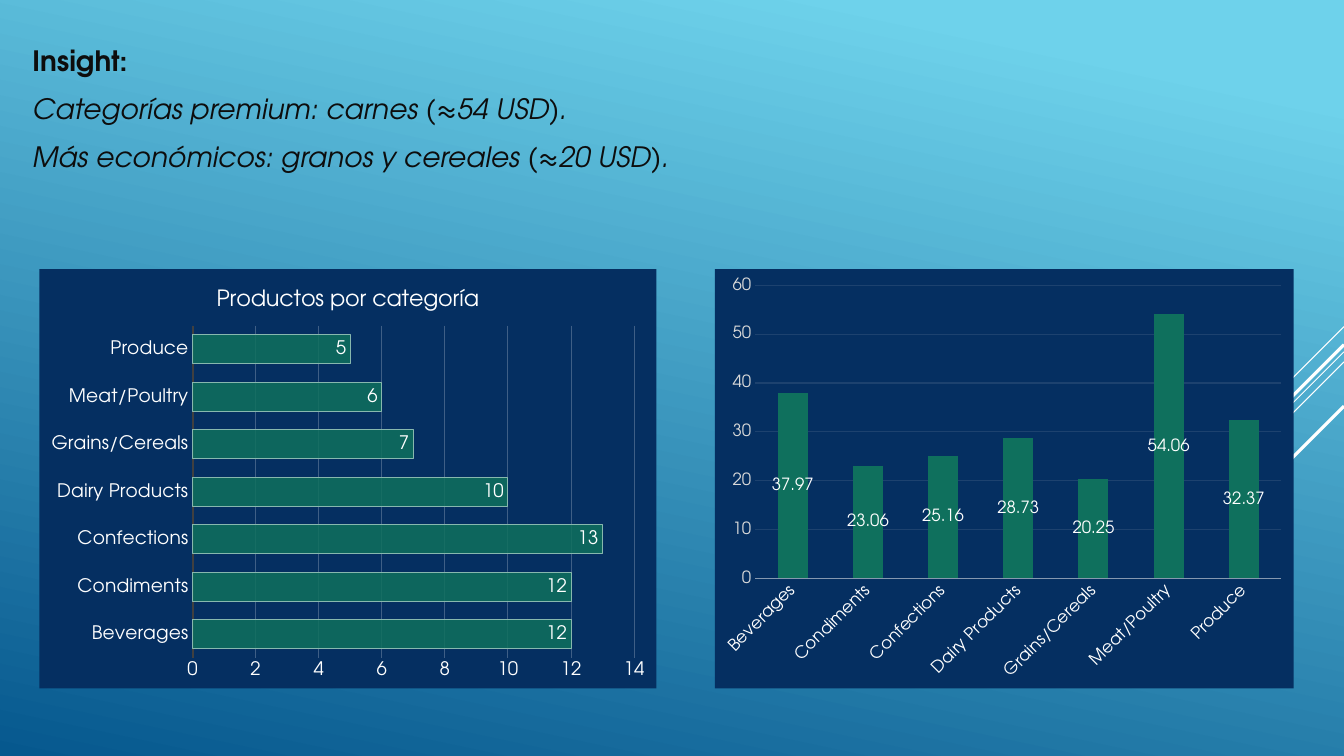
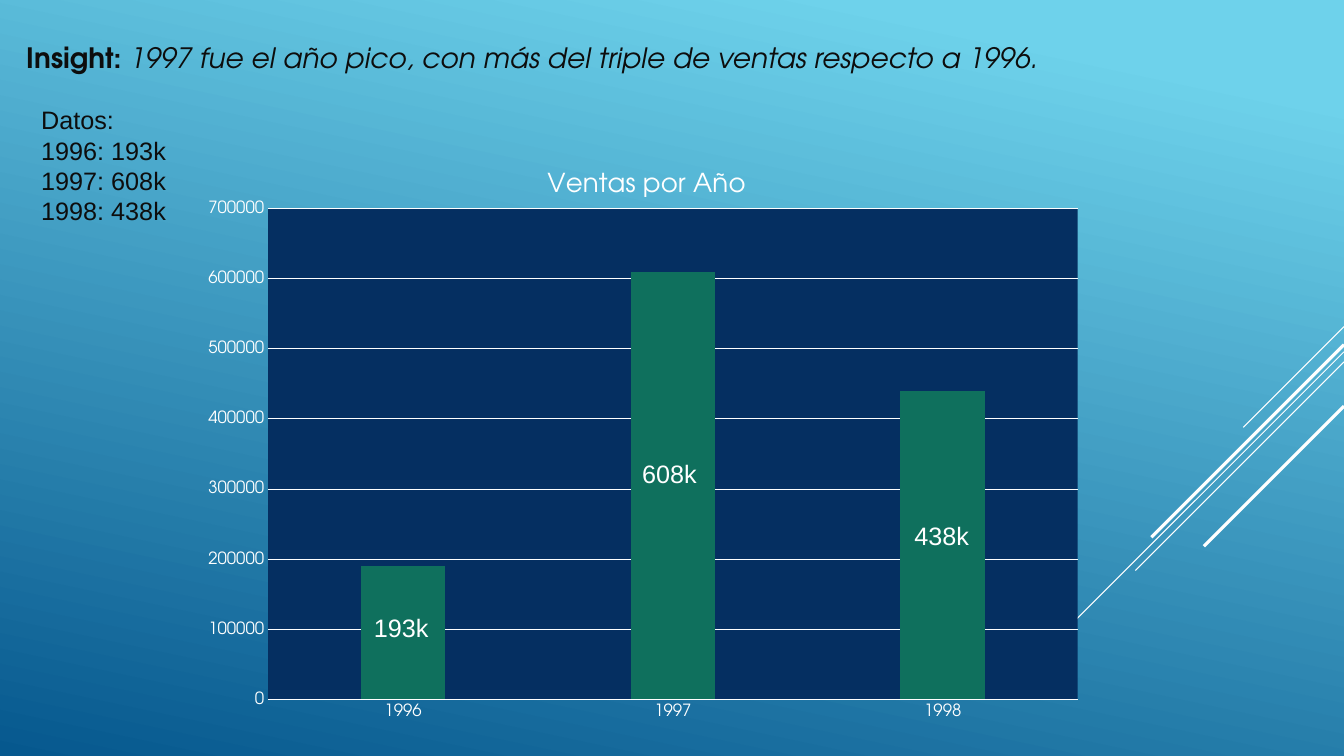
import pptx
import pptx.chart.data
import pptx.dml.color
import pptx.enum.chart
import pptx.enum.shapes
import pptx.enum.text
import pptx.oxml
import pptx.oxml.ns
import pptx.util
import lxml.etree

Inches = pptx.util.Inches
qn = pptx.oxml.ns.qn
ChartType = pptx.enum.chart.XL_CHART_TYPE
LabelPosition = pptx.enum.chart.XL_LABEL_POSITION
Anchor = pptx.enum.text.MSO_ANCHOR
Align = pptx.enum.text.PP_ALIGN

HEADING_FONT = "TeX Gyre Adventor"
DATA_FONT = "Arial"
INK, WHITE, NAVY, GREEN = "0D0D0D", "FFFFFF", "052F61", "0F705D"
BACKGROUND_STOPS = [(0.1, "6ED2EB"), (1, "06588E")]
BACKGROUND_ANGLE = 258
SLIDE_WIDTH, SLIDE_HEIGHT = 13.33, 7.5
DIAGONALS = [(3.24, 1.0, 0.75), (3.49, 3.26, 0.75), (3.59, 2.07, 0.75),
             (3.42, 1.91, 2.25), (4.03, 1.39, 2.25)]

BOLD, ITALIC = {"bold": True}, {"italic": True}
CATEGORIES = ["Beverages", "Condiments", "Confections", "Dairy Products",
              "Grains/Cereals", "Meat/Poultry", "Produce"]

SLIDES = [
    {
        "title": {
            "box": (0.22, 0.21, 7.23, 1.73),
            "paragraphs": [
                [("Insight:", BOLD)],
                [("Categorías premium: carnes (≈54 USD).", ITALIC)],
                [("Más económicos: granos y cereales (≈20 USD).", ITALIC)],
            ],
            "spacing": {"space_before": pptx.util.Pt(4), "space_after": pptx.util.Pt(6)},
        },
        "charts": [
            {
                "type": ChartType.BAR_CLUSTERED, "box": (0.39, 2.67, 6.12, 4.16),
                "categories": CATEGORIES, "values": [12, 12, 13, 10, 7, 6, 5],
                "title": ("Productos por categoría", 16),
                "plot": (1.52, 0.56, 4.38, 3.3), "area_fill": NAVY,
                "gap": 65, "overlap": 0, "scale": (14, 2),
                "size": 13.3, "value_color": WHITE,
                "axis_line": ("404040", 1.5), "grid": ("3F5F86", 0.75),
                "bar_line": ("87B8AE", 0.75), "bar_opacity": 85,
                "labels": LabelPosition.INSIDE_END,
            },
            {
                "type": ChartType.COLUMN_STACKED, "box": (7.09, 2.67, 5.74, 4.16),
                "categories": CATEGORIES,
                "values": [37.97, 23.06, 25.16, 28.73, 20.25, 54.06, 32.37],
                "plot": (0.4, 0.16, 5.22, 2.91), "area_fill": NAVY,
                "gap": 150, "overlap": 100, "scale": (60, 10),
                "size": 12, "value_color": "D9D9D9", "rotation": -45,
                "axis_line": ("8598AF", 1), "grid": ("1D426F", 0.75),
                "labels": LabelPosition.CENTER,
            },
        ],
        "texts": [],
    },
    {
        "title": {
            "box": (0.16, 0.35, 10.5, 0.44),
            "paragraphs": [[
                ("Insight: ", BOLD),
                ("1997 fue el año pico, con más del triple de ventas respecto a 1996.", ITALIC),
            ]],
            "spacing": {},
        },
        "charts": [
            {
                "type": ChartType.COLUMN_CLUSTERED, "box": (1.92, 1.47, 8.99, 5.86),
                "categories": ["1996", "1997", "1998"], "values": [190000, 610000, 440000],
                "title": ("Ventas por Año", 18.6),
                "plot": (0.74, 0.6, 8.03, 4.87), "plot_fill": NAVY,
                "gap": 219, "overlap": -27, "scale": (700000, 100000),
                "size": 12, "value_color": WHITE,
                "axis_line": (WHITE, 0.75), "grid": (WHITE, 0.75),
            },
        ],
        "texts": [
            ((0.31, 0.99, 1.45, 1.31), ["Datos:", "1996: 193k", "1997: 608k", "1998: 438k"], INK),
            ((3.61, 6.03, 0.79, 0.4), ["193k"], WHITE),
            ((6.27, 4.5, 0.79, 0.4), ["608k"], WHITE),
            ((8.97, 5.11, 0.79, 0.4), ["438k"], WHITE),
        ],
    },
]


def rgb(color):
    return pptx.dml.color.RGBColor.from_string(color)


def apply(target, values):
    for name, value in values.items():
        setattr(target, name, value)


def set_font(font, size, color, name=HEADING_FONT, **extra):
    apply(font, {"size": pptx.util.Pt(size), "name": name, **extra})
    font.color.rgb = rgb(color)


def set_line(line, color, width):
    line.color.rgb = rgb(color)
    line.width = pptx.util.Pt(width)


def place(box):
    return [Inches(length) for length in box]


def chart_xml(tag, content):
    spaces = pptx.oxml.ns.nsdecls("c", "a")
    return pptx.oxml.parse_xml(f"<c:{tag} {spaces}>{content}</c:{tag}>")


def fill_xml(color):
    return chart_xml("spPr", f'<a:solidFill><a:srgbClr val="{color}"/></a:solidFill>'
                             "<a:ln><a:noFill/></a:ln>")


def layout_xml(plot, box):
    width, height = box[2:]
    parts = ['<c:layoutTarget val="inner"/><c:xMode val="edge"/><c:yMode val="edge"/>']
    parts += [f'<c:{key} val="{length / whole:.4f}"/>'
              for key, length, whole in zip("xywh", plot, (width, height) * 2)]
    return chart_xml("layout", f"<c:manualLayout>{''.join(parts)}</c:manualLayout>")


def prepare_layout(layout, slide):
    fill = layout.background.fill
    fill.gradient()
    fill.gradient_angle = BACKGROUND_ANGLE
    for stop, (position, color) in zip(fill.gradient_stops, BACKGROUND_STOPS):
        stop.position = position
        stop.color.rgb = rgb(color)
    for top, reach, width in DIAGONALS:
        connector = slide.shapes.add_connector(
            pptx.enum.shapes.MSO_CONNECTOR.STRAIGHT,
            *place((SLIDE_WIDTH, top, SLIDE_WIDTH - reach, top + reach)))
        set_line(connector.line, WHITE, width)
        lxml.etree.SubElement(connector.element.spPr, qn("a:effectLst"))
        layout.shapes.element.append(connector.element)


def format_title(shape, title):
    apply(shape, dict(zip(("left", "top", "width", "height"), place(title["box"]))))
    frame = shape.text_frame
    apply(frame, {"word_wrap": True, "vertical_anchor": Anchor.MIDDLE,
                  "auto_size": pptx.enum.text.MSO_AUTO_SIZE.NONE})
    for index, runs in enumerate(title["paragraphs"]):
        paragraph = frame.add_paragraph() if index else frame.paragraphs[0]
        apply(paragraph, {"alignment": Align.LEFT, **title["spacing"]})
        for text, style in runs:
            run = paragraph.add_run()
            run.text = text
            set_font(run.font, 20, INK, **style)


def add_text(slide, box, lines, color):
    frame = slide.shapes.add_textbox(*place(box)).text_frame
    frame.word_wrap = True
    frame.text = "\n".join(lines)
    for paragraph in frame.paragraphs:
        set_font(paragraph.font, 18, color, DATA_FONT)


def format_axes(chart, details):
    category, value = chart.category_axis, chart.value_axis
    for axis, color in ((category, WHITE), (value, details["value_color"])):
        axis.major_tick_mark = axis.minor_tick_mark = pptx.enum.chart.XL_TICK_MARK.NONE
        set_font(axis.tick_labels.font, details["size"], color)
    set_line(category.format.line, *details["axis_line"])
    category.has_major_gridlines = False
    if "rotation" in details:
        body = category._element.find(qn("c:txPr")).find(qn("a:bodyPr"))
        body.set("rot", str(details["rotation"] * 60000))
    maximum, step = details["scale"]
    apply(value, {"minimum_scale": 0, "maximum_scale": maximum, "major_unit": step,
                  "has_major_gridlines": True})
    value.format.line.fill.background()
    set_line(value.major_gridlines.format.line, *details["grid"])


def format_bars(plot, details):
    apply(plot, {"gap_width": details["gap"], "overlap": details["overlap"],
                 "vary_by_categories": False})
    series = plot.series[0]
    series.format.fill.solid()
    series.format.fill.fore_color.rgb = rgb(GREEN)
    if "bar_opacity" in details:
        color = series._element.find(qn("c:spPr")).find(qn("a:solidFill"))[0]
        alpha = lxml.etree.SubElement(color, qn("a:alpha"))
        alpha.set("val", str(details["bar_opacity"] * 1000))
    if "bar_line" in details:
        set_line(series.format.line, *details["bar_line"])
    if "labels" in details:
        plot.has_data_labels = True
        apply(plot.data_labels, {"show_value": True, "position": details["labels"]})
        set_font(plot.data_labels.font, details["size"], WHITE)


def add_chart(slide, details):
    data = pptx.chart.data.CategoryChartData()
    data.categories = details["categories"]
    data.add_series("Series 1", details["values"])
    chart = slide.shapes.add_chart(details["type"], *place(details["box"]), data).chart
    set_font(chart.font, details["size"], WHITE)
    chart.has_legend = False
    chart.has_title = "title" in details
    if chart.has_title:
        text, size = details["title"]
        chart.chart_title.include_in_layout = False
        frame = chart.chart_title.text_frame
        frame.text = text
        set_font(frame.paragraphs[0].runs[0].font, size, WHITE, bold=False)
    format_axes(chart, details)
    format_bars(chart.plots[0], details)
    chart_element = chart._chartSpace.find(qn("c:chart"))
    plot_area = chart_element.find(qn("c:plotArea"))
    for layout in plot_area.findall(qn("c:layout")):
        plot_area.remove(layout)
    plot_area.insert(0, layout_xml(details["plot"], details["box"]))
    if "area_fill" in details:
        chart_element.addnext(fill_xml(details["area_fill"]))
    if "plot_fill" in details:
        plot_area.append(fill_xml(details["plot_fill"]))


def main():
    presentation = pptx.Presentation()
    presentation.slide_width = Inches(SLIDE_WIDTH)
    presentation.slide_height = Inches(SLIDE_HEIGHT)
    layout = presentation.slide_layouts[5]
    for index, content in enumerate(SLIDES):
        slide = presentation.slides.add_slide(layout)
        if index == 0:
            prepare_layout(layout, slide)
        format_title(slide.shapes.title, content["title"])
        for details in content["charts"]:
            add_chart(slide, details)
        for box, lines, color in content["texts"]:
            add_text(slide, box, lines, color)
    presentation.save("out.pptx")


if __name__ == "__main__":
    main()
